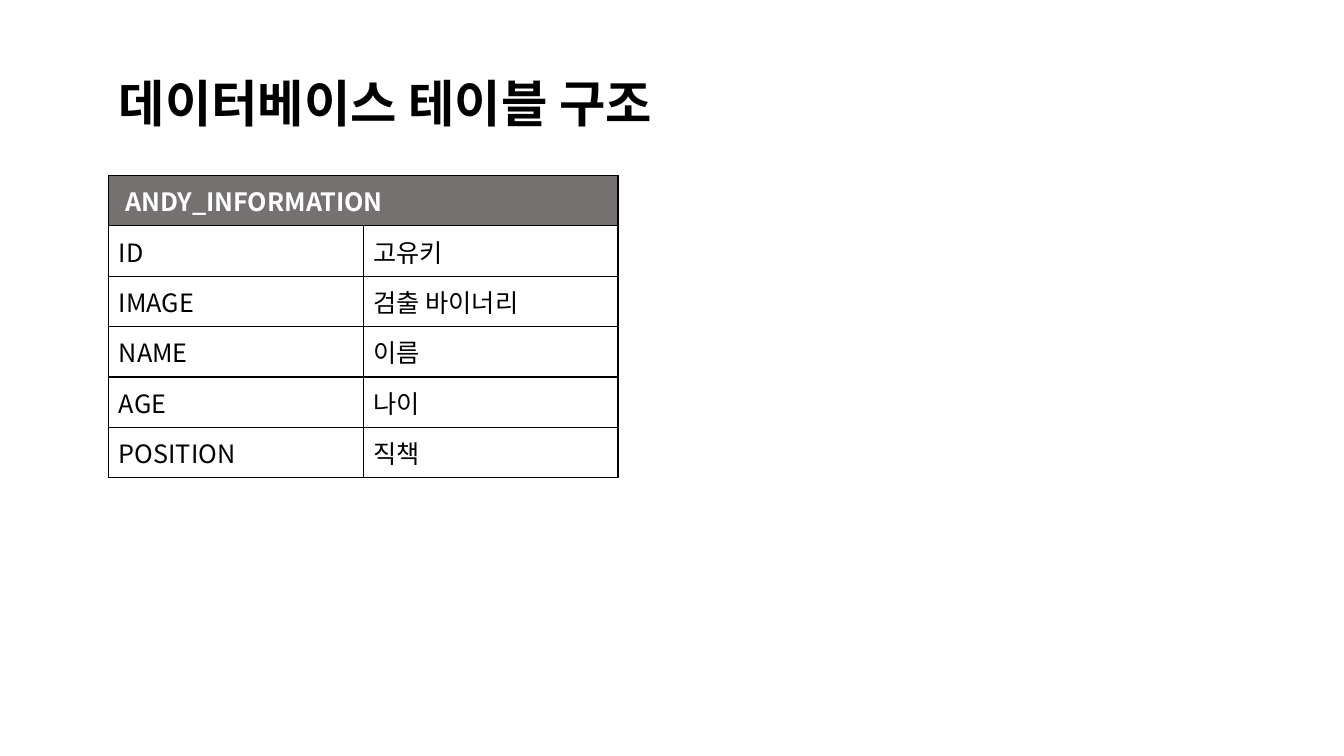
from lxml.etree import SubElement
from pptx import Presentation
from pptx.dml.color import RGBColor
from pptx.enum.text import MSO_ANCHOR as Anchor
from pptx.oxml.ns import qn
from pptx.util import Inches, Pt

FONT = "Noto Sans CJK KR"
COLORS = {"ink": "000000", "paper": "FFFFFF", "header": "767171"}
COLUMNS = [
    ("ID", "고유키"),
    ("IMAGE", "검출 바이너리"),
    ("NAME", "이름"),
    ("AGE", "나이"),
    ("POSITION", "직책"),
]


def color(name):
    return RGBColor.from_string(COLORS[name])


def write_text(frame, text, size=18, ink="ink", bold=False):
    span = frame.paragraphs[0].add_run()
    span.text = text
    span.font.size = Pt(size)
    span.font.bold = bold
    span.font.color.rgb = color(ink)
    span.font.name = FONT
    SubElement(span.font._element, qn("a:ea"), typeface=FONT)


def add_title(page, text):
    box = page.shapes.add_textbox(Inches(1.08), Inches(0.67), Inches(11.17), Inches(0.71))
    box.text_frame.word_wrap = True
    write_text(box.text_frame, text, size=36, bold=True)


def style_cell(cell, fill):
    properties = cell._tc.get_or_add_tcPr()
    for side in ("lnL", "lnR", "lnT", "lnB"):
        line = SubElement(properties, qn(f"a:{side}"), w=str(Pt(1)))
        solid = SubElement(line, qn("a:solidFill"))
        SubElement(solid, qn("a:srgbClr"), val=COLORS["ink"])
    cell.fill.solid()
    cell.fill.fore_color.rgb = color(fill)
    cell.vertical_anchor = Anchor.MIDDLE


def add_schema_table(page, name, columns):
    row_count = len(columns) + 1
    table = page.shapes.add_table(
        row_count, 2, Inches(1.08), Inches(1.74), Inches(5.05), Inches(0.5 * row_count)
    ).table
    for row in range(row_count):
        for column in range(2):
            style_cell(table.cell(row, column), "paper" if row else "header")

    header = table.cell(0, 0)
    header.merge(table.cell(0, 1))
    header.margin_left = Inches(0.16)
    write_text(header.text_frame, name, ink="paper", bold=True)

    for row, texts in enumerate(columns, start=1):
        for column, text in enumerate(texts):
            write_text(table.cell(row, column).text_frame, text)


def main():
    deck = Presentation()
    deck.slide_width, deck.slide_height = Inches(13.33), Inches(7.5)
    page = deck.slides.add_slide(deck.slide_layouts[6])
    add_title(page, "데이터베이스 테이블 구조")
    add_schema_table(page, "ANDY_INFORMATION", COLUMNS)
    deck.save("out.pptx")


if __name__ == "__main__":
    main()
